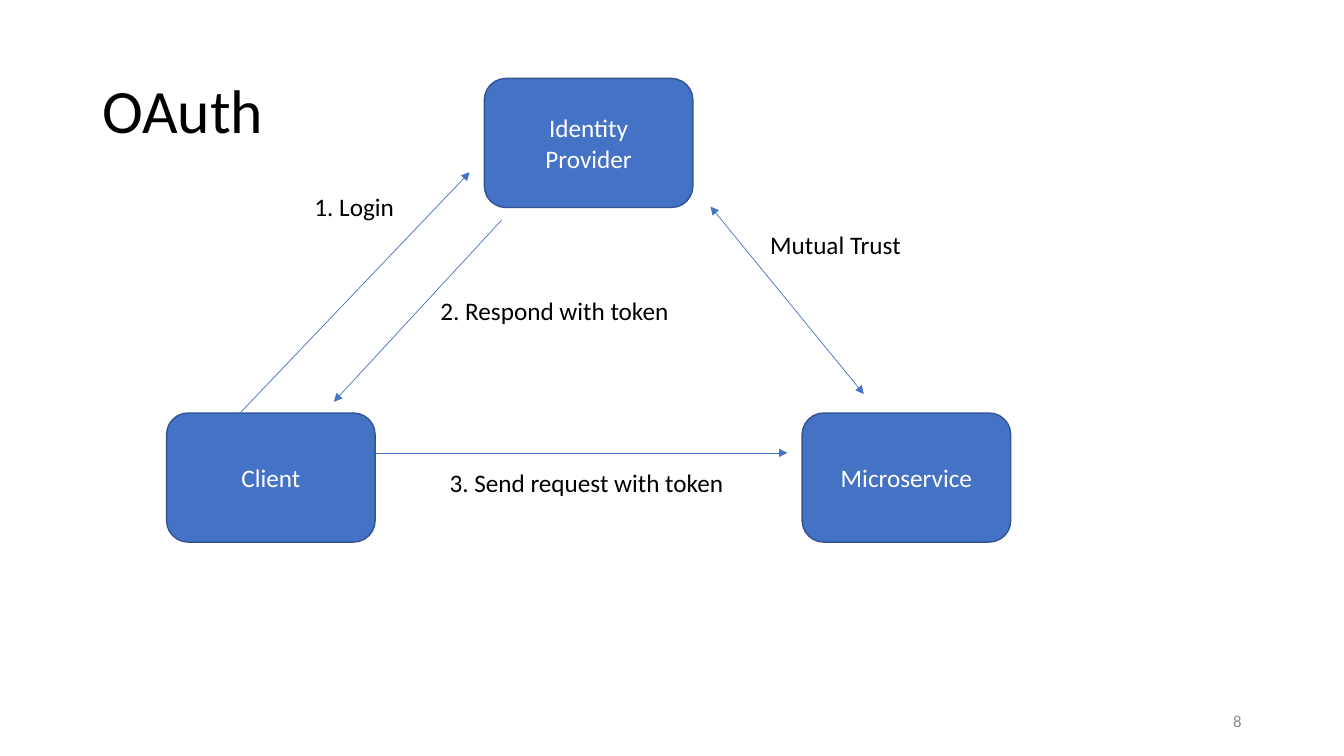
from lxml.etree import SubElement
from pptx import Presentation
from pptx.dml.color import RGBColor
from pptx.enum.shapes import MSO_CONNECTOR as CONN, MSO_SHAPE as SHAPE
from pptx.enum.text import MSO_ANCHOR as ANCHOR, MSO_AUTO_SIZE as AUTO, PP_ALIGN as ALIGN
from pptx.oxml.ns import qn
from pptx.util import Pt

FONT = "Calibri"
BLUE, EDGE, BLACK, WHITE, GRAY = "4472C4", "325491", "000000", "FFFFFF", "8C8C8C"
NODE_W, NODE_H = 149, 92.2


def color(fmt, value):
    """Set a font or fill colour from a hex string."""
    if hasattr(fmt, "solid"):
        fmt.solid()
        fmt = fmt.fore_color
    else:
        fmt = fmt.color
    fmt.rgb = RGBColor.from_string(value)


def write(sp, text, size, ink, align=ALIGN.LEFT, anchor=ANCHOR.MIDDLE, wrap=True):
    """Fill a shape with text, one paragraph per line."""
    tf = sp.text_frame
    tf.word_wrap, tf.vertical_anchor = wrap, anchor
    tf.text = text
    for p in tf.paragraphs:
        p.alignment = align
        p.font.name, p.font.size = FONT, Pt(size)
        color(p.font, ink)
    return tf


def add_text(s, box, text, size, ink, **style):
    """Add a text box at left, top, width, height."""
    return write(s.shapes.add_textbox(*map(Pt, box)), text, size, ink, **style)


def add_node(s, x, y, text):
    """Add a rounded box for one party."""
    sp = s.shapes.add_shape(SHAPE.ROUNDED_RECTANGLE, Pt(x), Pt(y), Pt(NODE_W), Pt(NODE_H))
    sp.shadow.inherit = False
    color(sp.fill, BLUE)
    color(sp.line.fill, EDGE)
    sp.line.width = Pt(1)
    write(sp, text, 18, WHITE, align=ALIGN.CENTER)


def add_arrow(s, x1, y1, x2, y2, ends):
    """Add a thin line with arrowheads at the named ends."""
    line = s.shapes.add_connector(CONN.STRAIGHT, *map(Pt, (x1, y1, x2, y2)))
    color(line.line.fill, BLUE)
    line.line.width = Pt(0.5)
    ln = line.line._get_or_add_ln()
    for end in ends:
        SubElement(ln, qn(f"a:{end}"), type="triangle")
    SubElement(line._element.spPr, qn("a:effectLst"))


def add_title(s, box, text):
    """Add the slide title."""
    add_text(s, box, text, 44, BLACK).paragraphs[0].line_spacing = 0.9


def add_page_number(s, box, number):
    """Add the page number at the right of its box."""
    add_text(s, box, number, 12, GRAY, align=ALIGN.RIGHT)


def add_flow(s, box):
    """Draw the token flow as a triangle of parties with labelled arrows."""
    left, top, width, height = box
    span, drop = width - NODE_W, height - NODE_H
    nodes = [(0, drop, "Client"), (span, drop, "Microservice"),
             (span / 2, 0, "Identity\nProvider")]
    one_way, both = ["tailEnd"], ["headEnd", "tailEnd"]
    steps = [  # start, end, arrowheads, label position and width, label
        ((52.5, drop), (216.5, 67), one_way, (98.5, 77, 72), "1. Login"),
        ((239.5, 101), (119.5, 231), one_way, (188.5, 151.5, 179), "2. Respond with token"),
        ((NODE_W, 267.5), (443.5, 267.5), one_way, (195, 274, 217),
         "3. Send request with token"),
        ((388.5, 91.5), (498, 225.5), both, (424, 104.5, 109), "Mutual Trust"),
    ]
    for x, y, text in nodes:
        add_node(s, left + x, top + y, text)
    for (x1, y1), (x2, y2), ends, (x, y, w), text in steps:
        add_arrow(s, left + x1, top + y1, left + x2, top + y2, ends)
        tf = add_text(s, (left + x, top + y, w, 29), text, 18, BLACK,
                      anchor=ANCHOR.TOP, wrap=False)
        tf.auto_size = AUTO.SHAPE_TO_FIT_TEXT


def main():
    """Build and save the slide."""
    prs = Presentation()
    prs.slide_width, prs.slide_height = Pt(960), Pt(540)
    s = prs.slides.add_slide(prs.slide_layouts[6])
    add_title(s, (66, 28.8, 828, 104.4), "OAuth")
    add_page_number(s, (678, 500.5, 216, 28.8), "8")
    add_flow(s, (119, 56, 603, 331.2))
    prs.save("out.pptx")


main()
